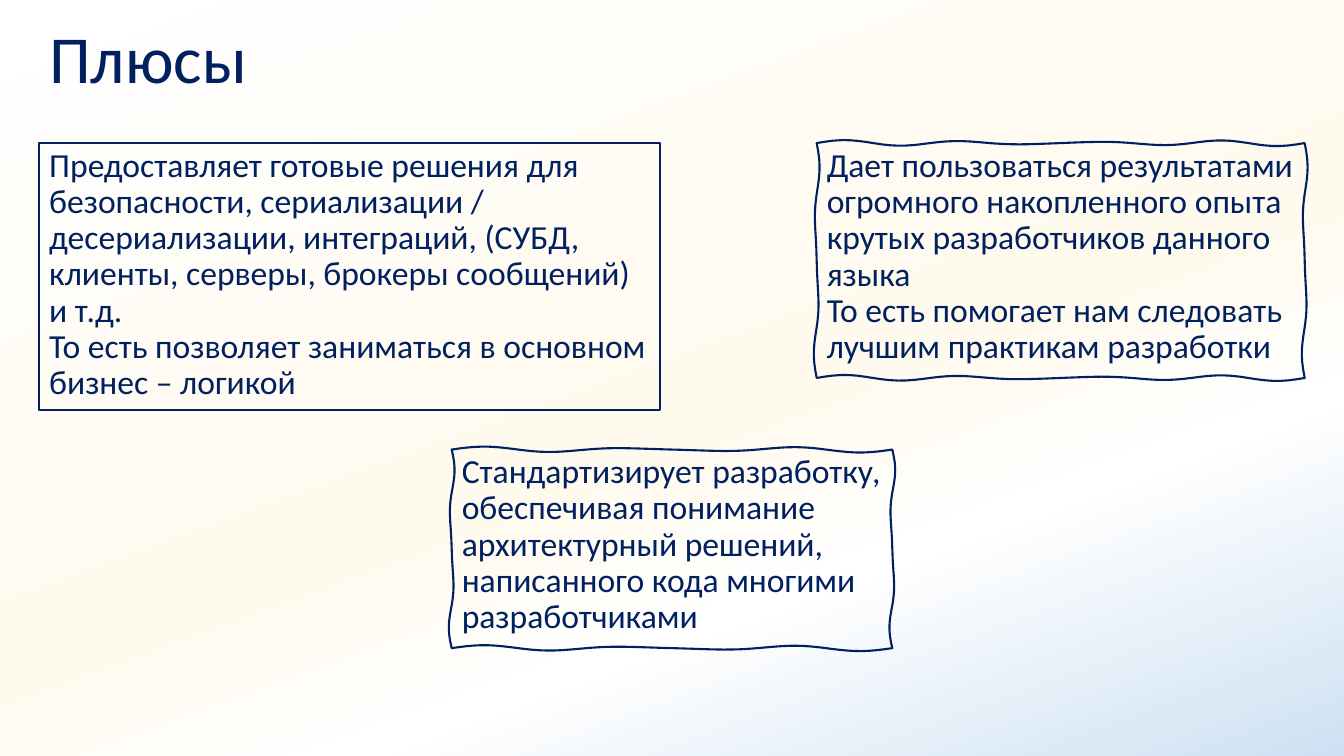
"""Build the slide on the advantages of frameworks."""
from copy import deepcopy
from math import dist, pi, sin

from pptx import Presentation
from pptx.dml.color import RGBColor
from pptx.enum.shapes import MSO_SHAPE
from pptx.enum.text import MSO_ANCHOR, PP_ALIGN
from pptx.oxml.ns import qn
from pptx.util import Inches, Pt

RECT = MSO_SHAPE.RECTANGLE
TOP, MIDDLE = MSO_ANCHOR.TOP, MSO_ANCHOR.MIDDLE
LEFT = PP_ALIGN.LEFT
NAVY = "002060"
SWELL = 0.02
WAVE = 1.3
STEPS = 60
PAD_X, PAD_Y = 0.1, 0.05


def color(code):
    return RGBColor.from_string(code)


def write(shape, text, size, anchor):
    frame = shape.text_frame
    frame.word_wrap = True
    frame.vertical_anchor = anchor
    para = frame.paragraphs[0]
    para.text = text
    para.alignment = LEFT
    para.line_spacing = 0.9
    para.font.name = "Calibri"
    para.font.size = Pt(size)
    para.font.color.rgb = color(NAVY)
    return frame


prs = Presentation()
prs.slide_width = Inches(13.33)
prs.slide_height = Inches(7.5)
slide = prs.slides.add_slide(prs.slide_layouts[6])

fill = slide.background.fill
fill.gradient()
fill.gradient_angle = 290
shades = [(0, "FFFFFF"), (0.55, "FFFAEE"), (0.71, "FFFFFF"), (1, "CEE1F2")]
stops = slide.element.find(".//" + qn("a:gsLst"))
while len(stops) < len(shades):
    stops.append(deepcopy(stops[0]))
for stop, (place, code) in zip(fill.gradient_stops, shades):
    stop.position = place
    stop.color.rgb = color(code)

title = slide.shapes.add_textbox(Inches(0.39), Inches(0.2), Inches(12.55), Inches(0.83))
write(title, "Плюсы", 48, MIDDLE)

ready = slide.shapes.add_shape(RECT, Inches(0.39), Inches(1.42), Inches(6.16), Inches(2.65))
write(ready, "Предоставляет готовые решения для безопасности, сериализации / "
      "десериализации, интеграций, (СУБД, клиенты, серверы, брокеры сообщений) и т.д. \v"
      "То есть позволяет заниматься в основном бизнес – логикой", 24, TOP)

notes = [
    (8.1, 1.42, 4.84, 2.33,
     "Дает пользоваться результатами огромного накопленного опыта крутых "
     "разработчиков данного языка\v"
     "То есть помогает нам следовать лучшим практикам разработки"),
    (4.48, 4.46, 4.37, 1.97,
     "Стандартизирует разработку, обеспечивая понимание архитектурный решений, "
     "написанного кода многими разработчиками")]

boxes = [ready]
for left, top, width, height, text in notes:
    right, bottom = left + width, top + height
    corners = [(left, top), (right, top), (right, bottom), (left, bottom)]
    dots = []
    for start, end in zip(corners, corners[1:] + corners[:1]):
        side = dist(start, end)
        across, down = (end[0] - start[0]) / side, (end[1] - start[1]) / side
        waves = round(side / WAVE)
        for step in range(STEPS):
            part = step / STEPS
            turn = 2 * pi * part
            bump = SWELL * (sin(waves * turn) + sin((waves + 1) * turn) / 2)
            x = start[0] + across * side * part + down * bump
            y = start[1] + down * side * part - across * bump
            dots.append((Inches(x), Inches(y)))
    pen = slide.shapes.build_freeform(*dots[0])
    pen.add_line_segments(dots[1:], close=True)
    box = pen.convert_to_shape()
    frame = write(box, text, 24, TOP)
    frame.margin_left = Inches(left + PAD_X) - box.left
    frame.margin_right = box.left + box.width - Inches(right - PAD_X)
    frame.margin_top = Inches(top + PAD_Y) - box.top
    boxes.append(box)

for box in boxes:
    box.shadow.inherit = False
    box.fill.background()
    box.line.color.rgb = color(NAVY)
    box.line.width = Pt(1.5)

prs.save("out.pptx")
